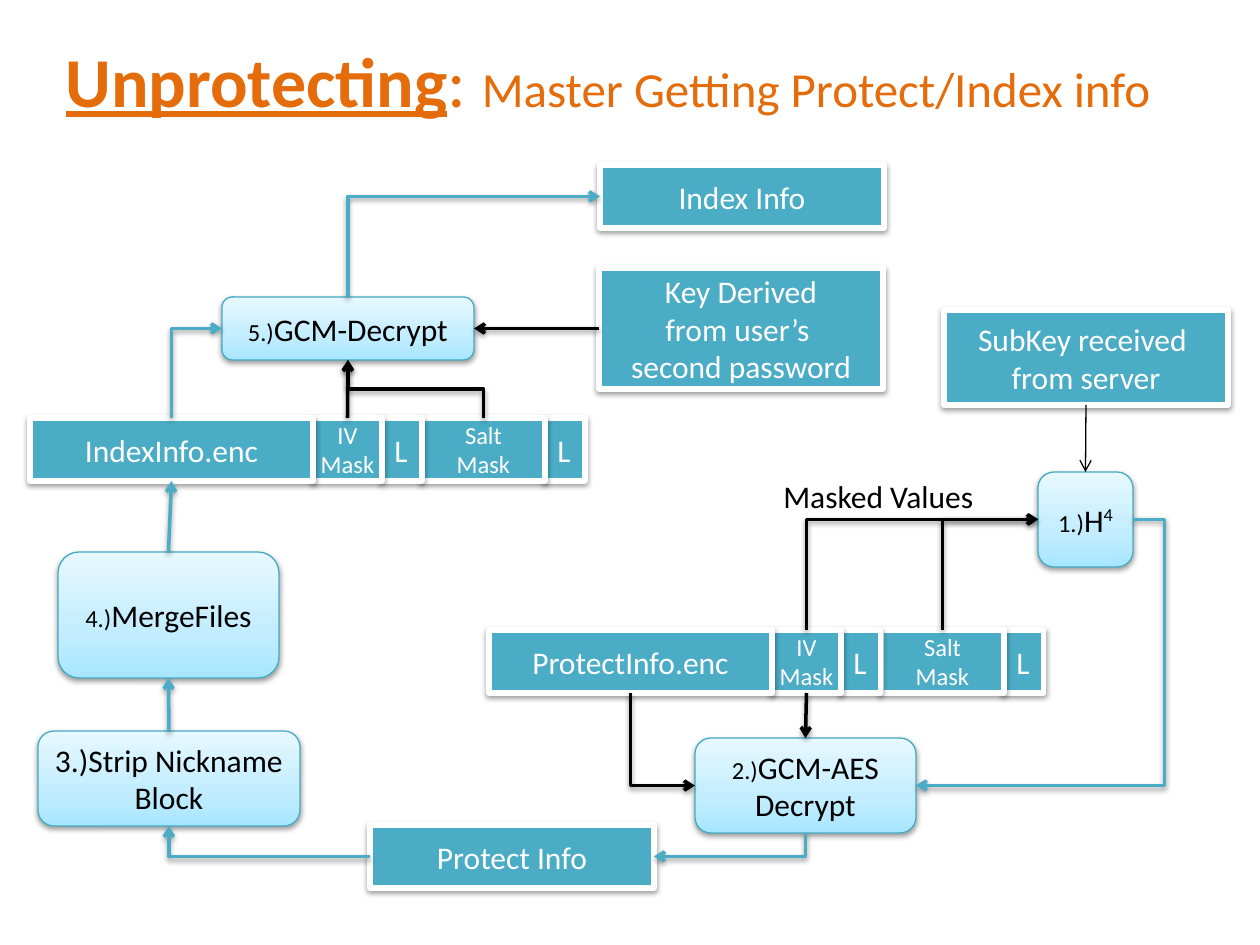
import copy

import pptx
import pptx.dml.color
import pptx.enum.shapes
import pptx.enum.text
import pptx.oxml
import pptx.oxml.ns
import pptx.util

PX = 914400 / 126
COLORS = {"orange": "E46C0A", "teal": "4BACC6", "edge": "46AAC5",
          "white": "FFFFFF", "black": "000000"}
STEP_GRADIENT = [(0, "A7E6FF"), (0.35, "C1EDFF"), (1, "E7F8FF")]
FONT = "Calibri"
NS = pptx.oxml.ns.nsdecls("a")
SHADOW = (f'<a:outerShdw {NS} blurRad="40000" dist="20000" dir="5400000" rotWithShape="0">'
          '<a:srgbClr val="000000"><a:alpha val="38000"/></a:srgbClr></a:outerShdw>')
TOP, LEFT, BOTTOM, RIGHT = range(4)


def px(value):
    return pptx.util.Emu(round(value * PX))


def rgb(value):
    return pptx.dml.color.RGBColor.from_string(COLORS.get(value, value))


def side(shape, site):
    """Middle of one side of a shape, in EMU."""
    across = {LEFT: 0, RIGHT: 2}.get(site, 1)
    down = {TOP: 0, BOTTOM: 2}.get(site, 1)
    return shape.left + shape.width * across // 2, shape.top + shape.height * down // 2


class FlowSlide:
    def __init__(self, presentation):
        self.slide = presentation.slides.add_slide(presentation.slide_layouts[5])

    def style(self, run, size, color, bold=False, underline=False):
        run.font.name, run.font.size = FONT, pptx.util.Pt(size)
        run.font.color.rgb = rgb(color)
        run.font.bold, run.font.underline = bold, underline

    def title(self, x, y, w, h, parts):
        title = self.slide.shapes.title
        title.left, title.top, title.width, title.height = map(px, (x, y, w, h))
        title.text_frame.vertical_anchor = pptx.enum.text.MSO_ANCHOR.MIDDLE
        paragraph = title.text_frame.paragraphs[0]
        paragraph.alignment = pptx.enum.text.PP_ALIGN.LEFT
        for text, size, strong in parts:
            run = paragraph.add_run()
            run.text = text
            self.style(run, size, "orange", strong, strong)

    def label(self, x, y, w, h, text):
        box = self.slide.shapes.add_textbox(*map(px, (x, y, w, h)))
        box.text_frame.word_wrap = True
        box.text_frame.text = text
        self.style(box.text_frame.paragraphs[0].runs[0], 18, "black")

    def block(self, kind, x, y, w, h, edge, edge_width):
        shape = self.slide.shapes.add_shape(kind, *map(px, (x, y, w, h)))
        shape.line.color.rgb = rgb(edge)
        shape.line.width = pptx.util.Pt(edge_width)
        shape.shadow.inherit = False
        effects = shape._element.spPr.find(pptx.oxml.ns.qn("a:effectLst"))
        effects.append(pptx.oxml.parse_xml(SHADOW))
        shape.text_frame.vertical_anchor = pptx.enum.text.MSO_ANCHOR.MIDDLE
        return shape

    def fill_text(self, shape, text, size, color, centred=True):
        frame = shape.text_frame
        frame.word_wrap = not centred
        frame.text = text
        align = pptx.enum.text.PP_ALIGN
        for paragraph in frame.paragraphs:
            paragraph.alignment = align.CENTER if centred else align.LEFT
            for run in paragraph.runs:
                self.style(run, size, color)

    def data(self, x, y, w, h, text, size=18, centred=True):
        shape = self.block(pptx.enum.shapes.MSO_SHAPE.RECTANGLE, x, y, w, h, "white", 3)
        shape.fill.solid()
        shape.fill.fore_color.rgb = rgb("teal")
        self.fill_text(shape, text, size, "white", centred)
        return shape

    def step(self, x, y, w, h, number, text, power=""):
        shape = self.block(pptx.enum.shapes.MSO_SHAPE.ROUNDED_RECTANGLE,
                           x, y, w, h, "edge", 0.75)
        shape.fill.gradient()
        shape.fill.gradient_angle = 90
        stops = shape._element.spPr.find(".//" + pptx.oxml.ns.qn("a:gsLst"))
        stops.insert(1, copy.deepcopy(stops[0]))
        for stop, (position, color) in zip(shape.fill.gradient_stops, STEP_GRADIENT):
            stop.position, stop.color.rgb = position, rgb(color)
        self.fill_text(shape, text, 18, "black")
        first = shape.text_frame.paragraphs[0]
        if number:
            run = first.add_run()
            run.text = number
            self.style(run, 14, "black")
            first.runs[0]._r.addprevious(run._r)
        if power:
            run = first.add_run()
            run.text = power
            self.style(run, 18, "black")
            run.font._element.set("baseline", "33000")
        return shape

    def chain(self, x, y, name):
        """A file row: name, IV mask, length, salt mask, length."""
        parts = [(name, 283, 18, True), ("IV\nMask", 69, 14, True), ("L", 40, 18, False),
                 ("Salt\nMask", 123, 14, True), ("L", 40, 18, False)]
        x += sum(width for _, width, _, _ in parts)
        cells = []
        for text, width, size, centred in reversed(parts):
            x -= width
            cells.insert(0, self.data(x, y, width, 63, text, size, centred))
        return cells[0], cells[1], cells[3]

    def line(self, kind, start, end, color, width, shadow):
        line = self.slide.shapes.add_connector(kind, *start, *end)
        line.line.color.rgb = rgb(color)
        line.line.width = pptx.util.Pt(width)
        outline = line._element.spPr.find(pptx.oxml.ns.qn("a:ln"))
        outline.append(pptx.oxml.parse_xml(f'<a:tailEnd {NS} type="arrow"/>'))
        effect = SHADOW if shadow else ""
        line._element.spPr.append(
            pptx.oxml.parse_xml(f"<a:effectLst {NS}>{effect}</a:effectLst>"))
        return line

    def arrow(self, source, out, target, into, color="black", width=2, shadow=True):
        line = self.line(pptx.enum.shapes.MSO_CONNECTOR.STRAIGHT,
                         side(source, out), side(target, into), color, width, shadow)
        line.begin_connect(source, out)
        line.end_connect(target, into)

    def elbow(self, source, out, target, into, color="black", bend=None):
        """One corner, or two corners with the middle leg at the share bend."""
        (x1, y1), (x2, y2) = start, end = side(source, out), side(target, into)
        line = self.line(pptx.enum.shapes.MSO_CONNECTOR.ELBOW, start, end, color, 2, True)
        geometry = line._element.spPr.find(pptx.oxml.ns.qn("a:prstGeom"))
        if bend is None:
            geometry.set("prst", "bentConnector2")
        else:
            geometry.find(pptx.oxml.ns.qn("a:avLst")).append(pptx.oxml.parse_xml(
                f'<a:gd {NS} name="adj1" fmla="val {round(bend * 100000)}"/>'))
        if out in (TOP, BOTTOM):
            # The first leg is vertical: turn the box a quarter about its centre
            w, h = abs(y2 - y1), abs(x2 - x1)
            line.left, line.top = (x1 + x2 - w) // 2, (y1 + y2 - h) // 2
            line.width, line.height = w, h
            frame = line._element.spPr.find(pptx.oxml.ns.qn("a:xfrm"))
            frame.set("rot", "5400000")
            frame.set("flipH", str(int(y2 < y1)))
            frame.set("flipV", str(int(x2 > x1)))


def main():
    presentation = pptx.Presentation()
    presentation.slide_width, presentation.slide_height = px(1260), px(945)
    flow = FlowSlide(presentation)
    flow.title(53, 0, 1134, 158, [("Unprotecting", 40, True), (": ", 40, False),
                                  ("Master Getting Protect/Index info", 28, False)])

    # File rows
    index_file, index_iv, index_salt = flow.chain(30, 418, "IndexInfo.enc")
    protect_file, protect_iv, protect_salt = flow.chain(489, 630, "ProtectInfo.enc")

    # Keys and results
    index_info = flow.data(600, 165, 284, 63, "Index Info")
    password_key = flow.data(599, 268, 284, 121,
                             "Key Derived\nfrom user’s \nsecond password")
    subkey = flow.data(944, 310, 284, 95, "SubKey received \nfrom server")
    protect_info = flow.data(370, 825, 284, 63, "Protect Info")

    # Numbered steps
    hashing = flow.step(1038, 472, 95, 95, "1.)", "H", power="4")
    aes = flow.step(695, 738, 221, 95, "2.)", "GCM-AES\nDecrypt")
    strip = flow.step(38, 731, 262, 95, "", "3.)Strip Nickname\nBlock")
    merge = flow.step(58, 552, 221, 126, "4.)", "MergeFiles")
    decrypt = flow.step(222, 297, 252, 63, "5.)", "GCM-Decrypt")
    flow.label(771, 471, 292, 48, "Masked Values")

    # Inputs to the steps
    flow.elbow(protect_salt, TOP, hashing, LEFT)
    flow.elbow(protect_iv, TOP, hashing, LEFT)
    flow.arrow(subkey, BOTTOM, hashing, TOP, width=0.75, shadow=False)
    flow.arrow(protect_iv, BOTTOM, aes, TOP)
    flow.elbow(protect_file, BOTTOM, aes, LEFT)
    flow.arrow(index_iv, TOP, decrypt, BOTTOM)
    flow.elbow(index_salt, TOP, decrypt, BOTTOM, bend=0.5)
    flow.arrow(password_key, LEFT, decrypt, RIGHT)

    # Main flow
    flow.elbow(hashing, RIGHT, aes, RIGHT, "teal", bend=-0.145)
    flow.elbow(aes, BOTTOM, protect_info, RIGHT, "teal")
    flow.elbow(protect_info, LEFT, strip, BOTTOM, "teal")
    flow.arrow(strip, TOP, merge, BOTTOM, "teal")
    flow.arrow(merge, TOP, index_file, BOTTOM, "teal")
    flow.elbow(index_file, TOP, decrypt, LEFT, "teal")
    flow.elbow(decrypt, TOP, index_info, LEFT, "teal")

    presentation.save("out.pptx")


if __name__ == "__main__":
    main()
